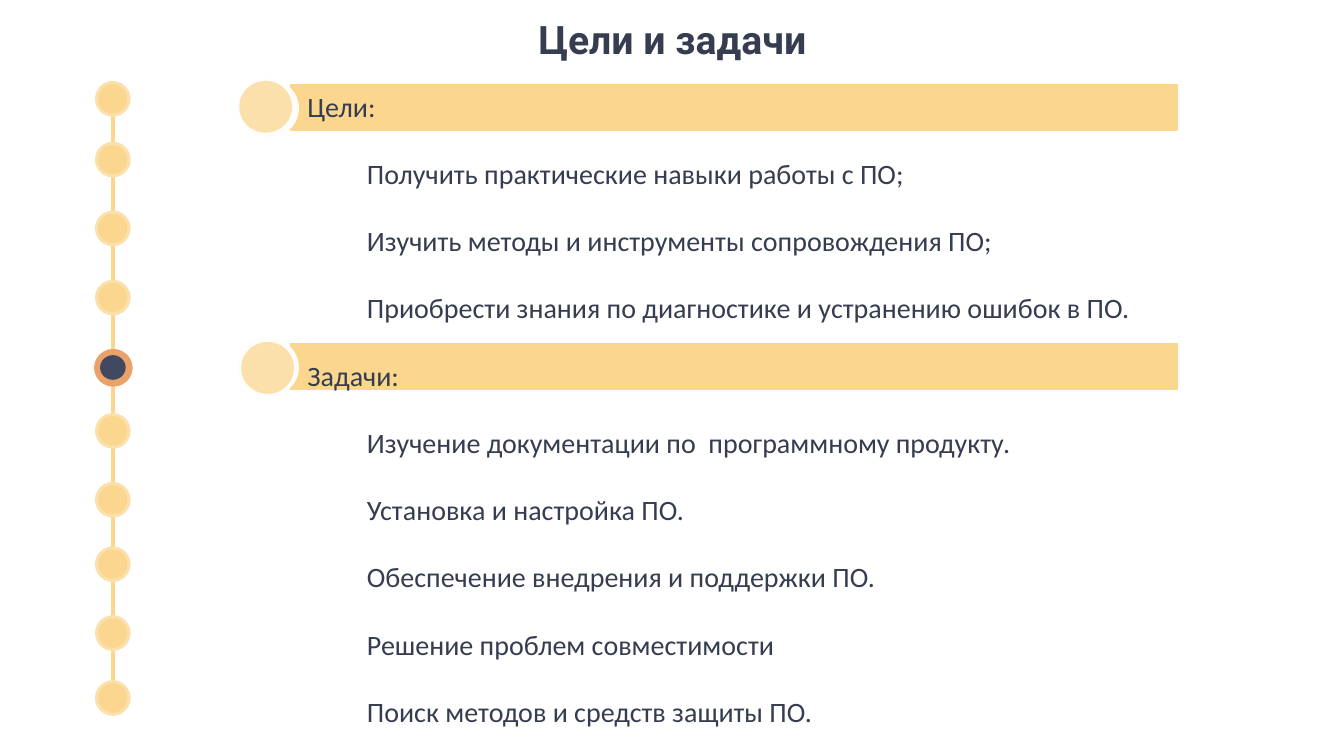
from lxml.etree import SubElement
from pptx import Presentation
from pptx.dml.color import RGBColor
from pptx.enum.shapes import MSO_CONNECTOR, MSO_SHAPE
from pptx.enum.text import MSO_ANCHOR, MSO_AUTO_SIZE, PP_ALIGN
from pptx.oxml.ns import qn
from pptx.util import Pt

HEADING = "Цели и задачи"
SECTIONS = [
    ("Цели:", 1.5, [
        "Получить практические навыки работы с ПО;",
        "Изучить методы и инструменты сопровождения ПО;",
        "Приобрести знания по диагностике и устранению ошибок в ПО.",
    ]),
    ("Задачи:", 2, [
        "Изучение документации по  программному продукту.",
        "Установка и настройка ПО.",
        "Обеспечение внедрения и поддержки ПО.",
        "Решение проблем совместимости",
        "Поиск методов и средств защиты ПО.",
    ]),
]
BARS = [
    {"top": 60.5, "halo": (170.6, 56.9), "knob": (171.4, 58.3)},
    {"top": 245.5, "halo": (170.6, 241.9), "knob": (172.8, 244.8)},
]
STEP_CENTERS = [70.6, 114, 163.2, 212.6, 262, 307.8, 357, 403, 452.2, 498.6]
STEP_X = 80.6
STEP_SIZE = 23.25

INK, NAVY = "363D50", "40495F"
YELLOW, CREAM, IVORY, ORANGE = "FAD68E", "FBE0AB", "FEFDF9", "EBA26A"


def color(value):
    return RGBColor.from_string(value)


def add_text(paragraph, text, size=20, font="Calibri", ink=INK, bold=False,
             align=PP_ALIGN.LEFT, spacing=1, indent=0):
    properties = paragraph._p.get_or_add_pPr()
    properties.set("marL", "0")
    properties.set("indent", str(Pt(indent)))
    SubElement(properties, qn("a:buNone"))
    paragraph.alignment = align
    paragraph.line_spacing = spacing
    paragraph.space_before = Pt(0)
    run = paragraph.add_run()
    run.text = text
    run.font.size = Pt(size)
    run.font.name = font
    run.font.bold = bold
    run.font.color.rgb = color(ink)


def place(placeholder, left, top, width, height):
    placeholder.left, placeholder.top = Pt(left), Pt(top)
    placeholder.width, placeholder.height = Pt(width), Pt(height)
    frame = placeholder.text_frame
    frame.word_wrap = True
    frame.auto_size = MSO_AUTO_SIZE.NONE
    frame.vertical_anchor = MSO_ANCHOR.TOP
    return frame


def add_figure(kind, left, top, width, height, fill, line=None, weight=1):
    figure = slide.shapes.add_shape(kind, Pt(left), Pt(top), Pt(width), Pt(height))
    figure.shadow.inherit = False
    figure.fill.solid()
    figure.fill.fore_color.rgb = color(fill)
    figure.line.color.rgb = color(line or fill)
    figure.line.width = Pt(weight)


deck = Presentation()
deck.slide_width, deck.slide_height = Pt(960), Pt(540)
slide = deck.slides.add_slide(deck.slide_layouts[1])
title, body = slide.placeholders

for bar in BARS:
    add_figure(MSO_SHAPE.RECTANGLE, 207.4, bar["top"], 633.6, 32.4, YELLOW)

for placeholder in (title, body):
    placeholder.element.getparent().append(placeholder.element)

heading = place(title, 163.4, 7.2, 633.6, 41)
add_text(heading.paragraphs[0], HEADING, size=28, font="Roboto", bold=True,
         align=PP_ALIGN.CENTER)

outline = place(body, 212.4, 48.2, 740, 472.3)
for section, spacing, items in SECTIONS:
    first = section == SECTIONS[0][0]
    add_text(outline.paragraphs[0] if first else outline.add_paragraph(),
             section, spacing=spacing)
    for item in items:
        add_text(outline.add_paragraph(), item, spacing=2, indent=42.5)

track = slide.shapes.add_connector(MSO_CONNECTOR.STRAIGHT, Pt(STEP_X), Pt(STEP_CENTERS[0]),
                                   Pt(STEP_X), Pt(STEP_CENTERS[-1]))
track.line.color.rgb = color(YELLOW)
track.line.width = Pt(3)
SubElement(track.element.spPr, qn("a:effectLst"))

for center in STEP_CENTERS:
    add_figure(MSO_SHAPE.OVAL, STEP_X - STEP_SIZE / 2, center - STEP_SIZE / 2,
               STEP_SIZE, STEP_SIZE, YELLOW, CREAM, 2.25)

add_figure(MSO_SHAPE.OVAL, 67.7, 249.8, 26.6, 25.9, ORANGE)
for bar in BARS:
    add_figure(MSO_SHAPE.FLOWCHART_CONNECTOR, *bar["halo"], 42.5, 41, IVORY)
    add_figure(MSO_SHAPE.FLOWCHART_CONNECTOR, *bar["knob"], 36.7, 36, CREAM)
add_figure(MSO_SHAPE.OVAL, 72, 254.2, 17.3, 16.6, NAVY)

deck.save("out.pptx")
